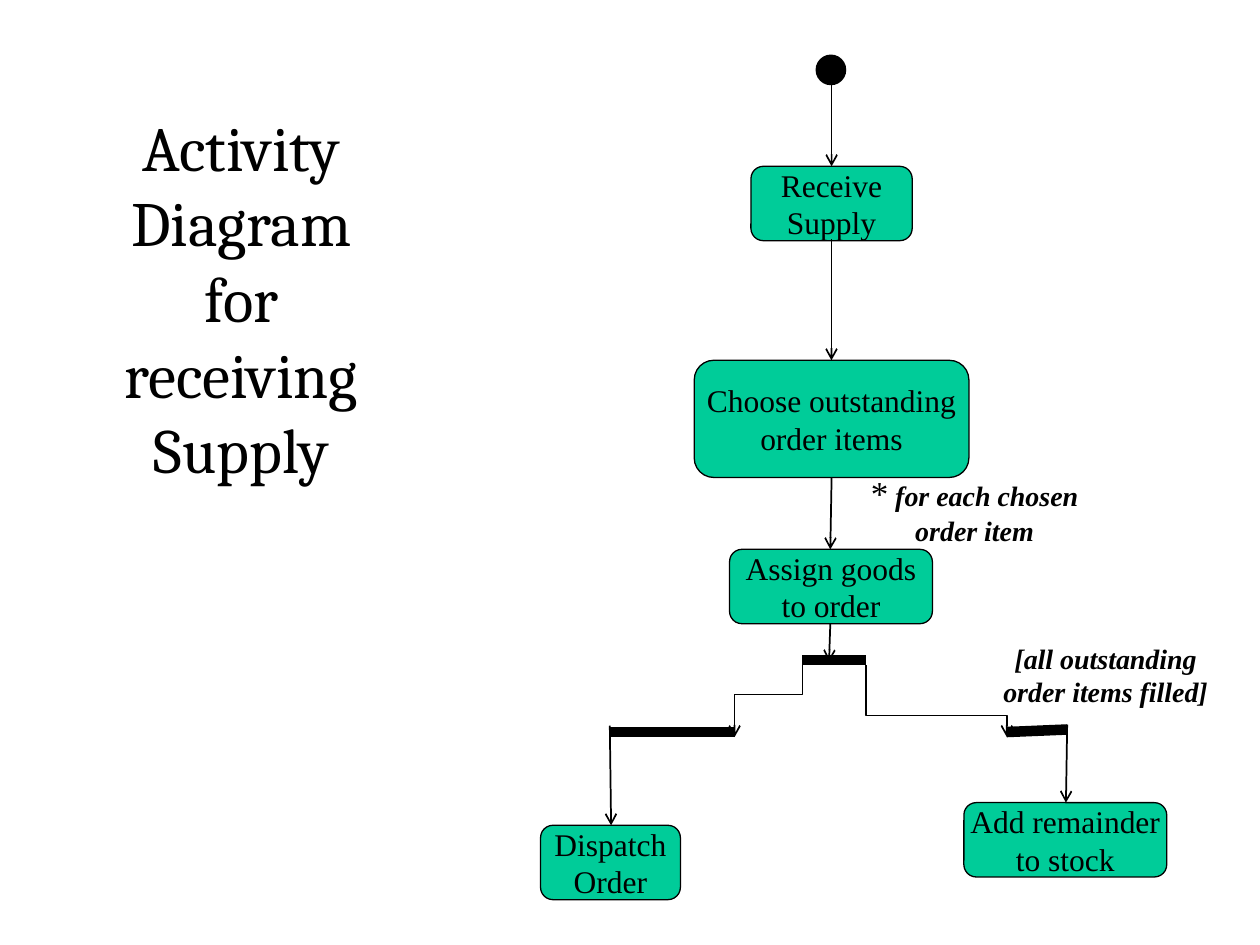
from dataclasses import dataclass

from lxml.etree import SubElement
from pptx import Presentation
from pptx.dml.color import RGBColor
from pptx.enum.shapes import MSO_CONNECTOR, MSO_SHAPE
from pptx.enum.text import MSO_ANCHOR, MSO_AUTO_SIZE, PP_ALIGN
from pptx.oxml.ns import qn
from pptx.util import Inches, Pt

COLORS = {"ink": "000000", "activity": "00CC99"}


def add_text(paragraph, text, font="Times New Roman", size=18, bold=False,
             italic=False, color="ink"):
    paragraph.alignment = PP_ALIGN.CENTER
    run = paragraph.add_run()
    run.text = text
    run.font.name = font
    run.font.size = Pt(size)
    run.font.bold = bold
    run.font.italic = italic
    run.font.color.rgb = RGBColor.from_string(COLORS[color])


@dataclass
class ActivityDiagram:
    slide: object
    flow_width: float = 1
    bar_width: float = 6
    outline_width: float = 0.75

    def title(self, text, left, top, width, height):
        title = self.slide.shapes.title
        title.left, title.top = Inches(left), Inches(top)
        title.width, title.height = Inches(width), Inches(height)
        frame = title.text_frame
        frame.auto_size = MSO_AUTO_SIZE.NONE
        frame.vertical_anchor = MSO_ANCHOR.MIDDLE
        add_text(frame.paragraphs[0], text, font="Cambria", size=36)

    def node(self, preset, left, top, width, height, color, line_width):
        node = self.slide.shapes.add_shape(
            preset, Inches(left), Inches(top), Inches(width), Inches(height))
        node.shadow.inherit = False
        node.fill.solid()
        node.fill.fore_color.rgb = RGBColor.from_string(COLORS[color])
        node.line.color.rgb = RGBColor.from_string(COLORS["ink"])
        node.line.width = Pt(line_width)
        return node

    def start(self, left, top, diameter):
        self.node(MSO_SHAPE.OVAL, left, top, diameter, diameter, "ink", self.flow_width)

    def activity(self, lines, left, top, width, height=0.59):
        activity = self.node(MSO_SHAPE.ROUNDED_RECTANGLE, left, top, width, height,
                             "activity", self.outline_width)
        frame = activity.text_frame
        frame.word_wrap = False
        frame.vertical_anchor = MSO_ANCHOR.MIDDLE
        for index, line in enumerate(lines):
            paragraph = frame.add_paragraph() if index else frame.paragraphs[0]
            add_text(paragraph, line)

    def condition(self, text, left, top, width, height, marker=""):
        box = self.slide.shapes.add_textbox(
            Inches(left), Inches(top), Inches(width), Inches(height))
        frame = box.text_frame
        frame.word_wrap = True
        paragraph = frame.paragraphs[0]
        if marker:
            add_text(paragraph, marker, size=20)
        add_text(paragraph, text, size=16, bold=True, italic=True)

    def connector(self, kind, start, end, width, arrow):
        connector = self.slide.shapes.add_connector(
            kind, *(Inches(value) for value in (*start, *end)))
        connector.line.color.rgb = RGBColor.from_string(COLORS["ink"])
        connector.line.width = Pt(width)
        if arrow:
            SubElement(connector.line._get_or_add_ln(), qn("a:tailEnd"), type="arrow")
        SubElement(connector._element.spPr, qn("a:effectLst"))
        return connector

    def bar(self, start, end):
        self.connector(MSO_CONNECTOR.STRAIGHT, start, end, self.bar_width, False)

    def flow(self, start, end):
        self.connector(MSO_CONNECTOR.STRAIGHT, start, end, self.flow_width, True)

    def elbow_flow(self, start, end, bend=0.5):
        """Leave downwards: a sideways elbow turned about its centre."""
        (x1, y1), (x2, y2) = start, end
        center_x, center_y = (x1 + x2) / 2, (y1 + y2) / 2
        half_width, half_height = (y2 - y1) / 2, abs(x2 - x1) / 2
        elbow = self.connector(
            MSO_CONNECTOR.ELBOW,
            (center_x - half_width, center_y - half_height),
            (center_x + half_width, center_y + half_height),
            self.flow_width, True)
        properties = elbow._element.spPr
        transform = properties.find(qn("a:xfrm"))
        goes_left = x2 < x1
        transform.set("rot", str((90 if goes_left else 270) * 60000))
        if not goes_left:
            transform.set("flipH", "1")
        geometry = properties.find(qn("a:prstGeom"))
        guides = geometry.find(qn("a:avLst"))
        if guides is None:
            guides = SubElement(geometry, qn("a:avLst"))
        SubElement(guides, qn("a:gd"), name="adj1", fmla=f"val {round(bend * 100000)}")


def main():
    presentation = Presentation()
    presentation.slide_width, presentation.slide_height = Inches(10), Inches(7.5)
    title_only = presentation.slide_layouts[5]
    diagram = ActivityDiagram(presentation.slides.add_slide(title_only))

    diagram.title("Activity Diagram for receiving Supply", 0.75, 0.67, 2.33, 3.38)

    # Activities
    diagram.activity(["Choose outstanding", "order items"], 5.51, 2.86, 2.18, 0.93)
    diagram.activity(["Assign goods", "to order"], 5.79, 4.36, 1.61)
    diagram.activity(["Add remainder", "to stock"], 7.65, 6.37, 1.61)
    diagram.activity(["Receive", "Supply"], 5.96, 1.32, 1.28)
    diagram.activity(["Dispatch", "Order"], 4.29, 6.55, 1.11)

    # Synchronisation bars
    diagram.bar((6.37, 5.24), (6.87, 5.24))
    diagram.bar((7.99, 5.81), (8.47, 5.79))
    diagram.bar((4.84, 5.81), (5.83, 5.81))

    # Start and main flow
    diagram.start(6.48, 0.44, 0.23)
    diagram.flow((6.6, 0.67), (6.6, 1.32))
    diagram.elbow_flow((6.6, 1.9), (6.6, 2.86))
    diagram.flow((6.6, 3.79), (6.59, 4.36))
    diagram.flow((6.59, 4.95), (6.58, 5.25))

    # Branches to dispatch and stock
    diagram.elbow_flow((6.37, 5.2), (5.83, 5.85), bend=0.48)
    diagram.elbow_flow((6.87, 5.28), (7.99, 5.85), bend=0.7)
    diagram.flow((4.84, 5.76), (4.85, 6.55))
    diagram.flow((8.47, 5.75), (8.46, 6.37))

    # Conditions
    diagram.condition(" for each chosen order item", 6.75, 3.69, 1.97, 0.7, marker="*")
    diagram.condition("[all outstanding order items filled]", 7.85, 5.04, 1.85, 0.64)

    presentation.save("out.pptx")


if __name__ == "__main__":
    main()
